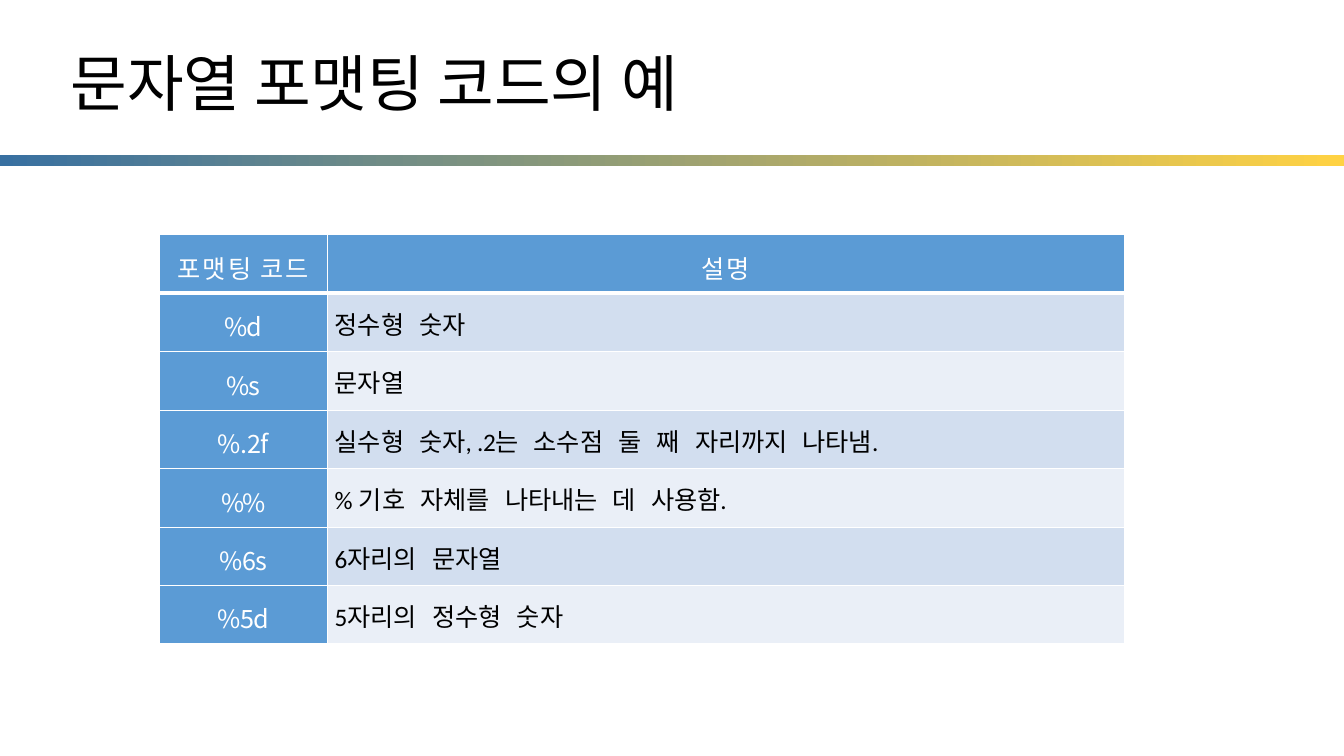
from lxml.etree import SubElement
from pptx import Presentation
from pptx.dml.color import RGBColor
from pptx.enum.shapes import MSO_SHAPE
from pptx.enum.text import MSO_ANCHOR, MSO_AUTO_SIZE, PP_ALIGN
from pptx.oxml.ns import qn
from pptx.util import Inches, Pt

theme = {
    "black": RGBColor.from_string("000000"),
    "white": RGBColor.from_string("FFFFFF"),
    "head": RGBColor.from_string("5B9BD5"),
    "bands": [RGBColor.from_string(c) for c in ("D2DEEF", "EAEFF7")],
    "bar": [RGBColor.from_string(c) for c in ("3870A1", "FFD243")],
    "title": Pt(44),
    "body": Pt(18),
    "latin": "Calibri",
    "cjk": "Noto Sans CJK JP",
    "mono": "Noto Sans Mono",
}


def write(para, text, face, gap, color, size):
    run = para.add_run()
    run.text = text
    look = {"name": theme[face], "size": theme[size], "bold": False}
    for key, value in look.items():
        setattr(run.font, key, value)
    run.font.color.rgb = theme[color]
    props = run.font._element
    props.set("spc", str(round(gap * 100)))
    SubElement(props, qn("a:ea"), typeface=theme[face])


def edge(cell, widths):
    props = cell._tc.get_or_add_tcPr()
    for spot, (side, width) in enumerate(widths.items()):
        line = SubElement(props, qn("a:ln" + side), w=str(Pt(width)))
        fill = SubElement(line, qn("a:solidFill"))
        SubElement(fill, qn("a:srgbClr"), val=str(theme["white"]))
        props.insert(spot, line)


deck = Presentation()
deck.slide_width, deck.slide_height = Inches(13.33), Inches(7.5)
slide = deck.slides.add_slide(deck.slide_layouts[5])

bar = slide.shapes.add_shape(
    MSO_SHAPE.RECTANGLE, 0, Inches(1.54), deck.slide_width, Inches(0.11))
bar.shadow.inherit = False
bar.line.fill.background()
bar.fill.gradient()
bar.fill.gradient_angle = 0
for stop, color, place in zip(bar.fill.gradient_stops, theme["bar"], (0, 1)):
    stop.color.rgb = color
    stop.position = place

title = slide.shapes.title
box = {"left": 0.69, "top": 0.43, "width": 6.64, "height": 0.75}
for key, value in box.items():
    setattr(title, key, Inches(value))
frame = title.text_frame
look = {"margin_left": 0, "margin_top": Inches(0.01), "margin_right": 0,
        "margin_bottom": 0, "vertical_anchor": MSO_ANCHOR.MIDDLE,
        "word_wrap": True, "auto_size": MSO_AUTO_SIZE.SHAPE_TO_FIT_TEXT}
for key, value in look.items():
    setattr(frame, key, value)
para = frame.paragraphs[0]
para.alignment = PP_ALIGN.LEFT
para.space_before = Pt(0.9)
para._p.get_or_add_pPr().set("marL", str(Inches(0.01)))
write(para, "문자열 포맷팅 코드의 예", "latin", -0.1, "black", "title")

rows = [
    ("포맷팅 코드", 1.4, [("설명", "cjk", 1.4)]),
    ("%d", -0.7, [("정수형 숫자", "mono", 0)]),
    ("%s", -0.8, [("문자열", "mono", 0)]),
    ("%.2f", -0.3, [
        ("실수형 ", "mono", 0), ("숫자", "mono", -0.2),
        (", ", "latin", -0.2), (".2", "latin", -0.3),
        ("는 ", "mono", -0.3), ("소수점 둘 째 자리까지 ", "mono", 0),
        ("나타냄", "mono", -0.2), (".", "latin", -0.2)]),
    ("%%", -1.2, [
        ("% ", "latin", 0.2), ("기호 자체를 나타내는 데 ", "mono", 0),
        ("사용함", "mono", -0.2), (".", "latin", -0.2)]),
    ("%6s", -0.5, [("6", "latin", 0), ("자리의 문자열", "mono", 0)]),
    ("%5d", -0.4, [("5", "latin", 0), ("자리의 정수형 숫자", "mono", 0)]),
]
tall = Inches(0.58)
table = slide.shapes.add_table(
    len(rows), 2, Inches(1.58), Inches(2.33), Inches(9.57),
    tall * len(rows)).table
table.first_row = table.horz_banding = False
for col, width in zip(table.columns, (1.67, 7.9)):
    col.width = Inches(width)

pad = {"margin_left": 0, "margin_top": Inches(0.14),
       "margin_right": 0, "margin_bottom": 0}
for r, (code, gap, runs) in enumerate(rows):
    table.rows[r].height = tall
    for c, parts in enumerate(([(code, "cjk", gap)], runs)):
        cell = table.cell(r, c)
        for key, value in pad.items():
            setattr(cell, key, value)
        head = r == 0 or c == 0
        cell.fill.solid()
        cell.fill.fore_color.rgb = (
            theme["head"] if head else theme["bands"][(r - 1) % 2])
        edge(cell, {"L": 1, "R": 1, "T": 3 if r == 1 else 1,
                    "B": 3 if r == 0 else 1})
        para = cell.text_frame.paragraphs[0]
        para.space_before = Pt(9.8)
        para.alignment = PP_ALIGN.CENTER if head else PP_ALIGN.LEFT
        if not head:
            para._p.get_or_add_pPr().set("marL", str(Inches(0.07)))
        for text, face, space in parts:
            write(para, text, face, space, "white" if head else "black", "body")

deck.save("out.pptx")
